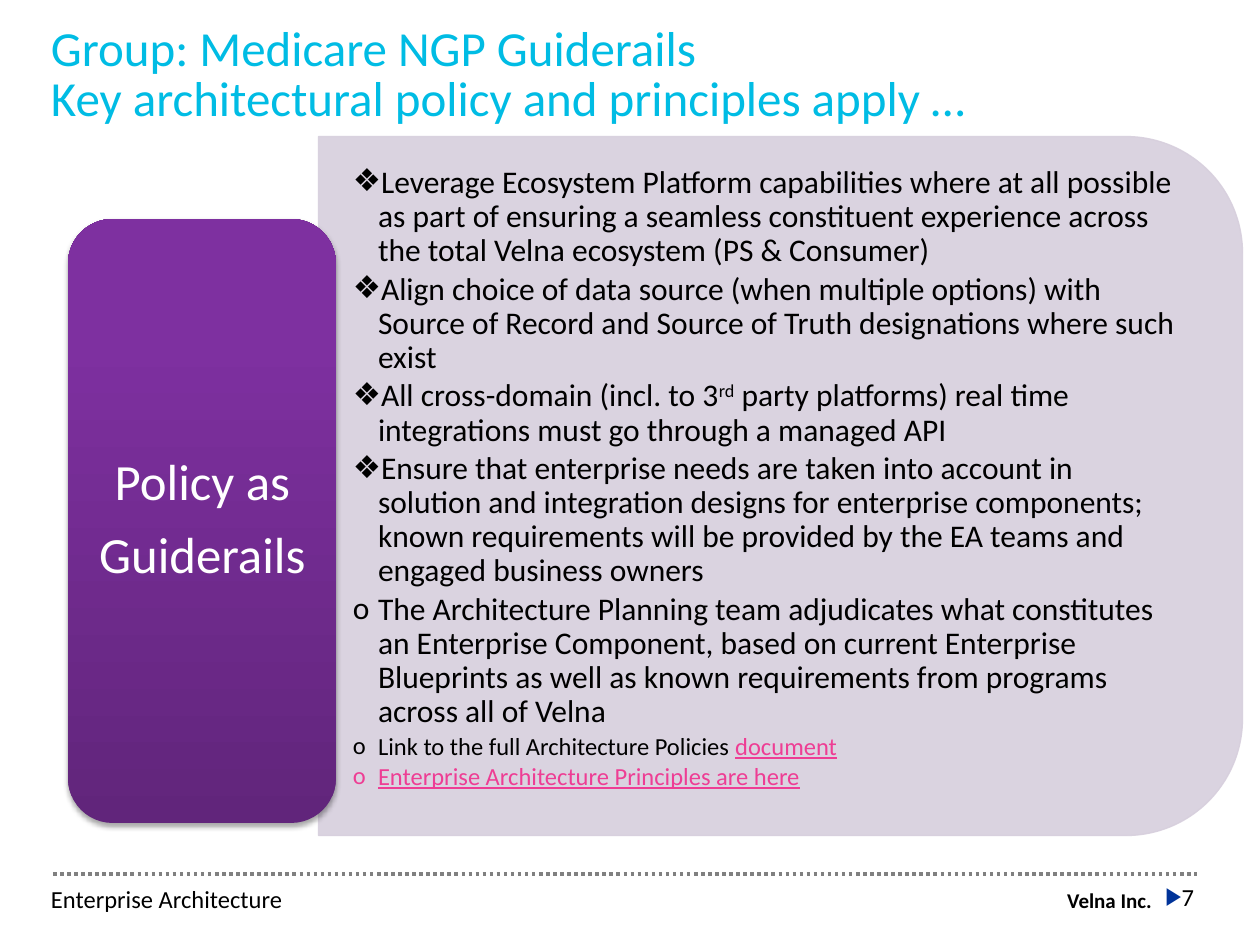
from lxml import etree
from pptx import Presentation
from pptx.dml.color import RGBColor
from pptx.enum.dml import MSO_LINE
from pptx.enum.shapes import MSO_CONNECTOR, MSO_SHAPE
from pptx.enum.text import MSO_ANCHOR, MSO_AUTO_SIZE, PP_ALIGN
from pptx.oxml import parse_xml
from pptx.oxml.ns import qn
from pptx.util import Emu, Pt

PX = 914400 // 126
FONT = "Calibri"
NS = 'xmlns:a="http://schemas.openxmlformats.org/drawingml/2006/main"'
LEFT, CENTER, RIGHT = PP_ALIGN.LEFT, PP_ALIGN.CENTER, PP_ALIGN.RIGHT
TOP, MIDDLE = MSO_ANCHOR.TOP, MSO_ANCHOR.MIDDLE
DOTS = MSO_LINE.ROUND_DOT

BLACK = RGBColor(0, 0, 0)
WHITE = RGBColor(255, 255, 255)
CYAN = RGBColor(0x00, 0xBC, 0xE4)
PINK = RGBColor(0xEE, 0x3D, 0x94)
LILAC = RGBColor(0xD7, 0xCF, 0xDD)
GRAY = RGBColor(0x80, 0x80, 0x80)
NAVY = RGBColor(0x00, 0x33, 0x99)
FADE = [(0, "61257B"), (80, "7E30A0"), (100, "802EA3")]

# Content: a paragraph is a list of (text, run format)
TITLE = [[("Group: Medicare NGP Guiderails", {}), ("\n", {}),
          ("Key architectural policy and principles apply …", {})]]
LABEL = [[("Policy as", {})], [("Guiderails", {})]]
LINK = {"size": 14, "color": PINK, "under": True}
POLICY = [
    [("Leverage Ecosystem Platform capabilities where at all possible as part "
      "of ensuring a seamless constituent experience across the total Velna "
      "ecosystem (PS & Consumer)", {})],
    [("Align choice of data source (when multiple options) with Source of "
      "Record and Source of Truth designations where such exist", {})],
    [("All cross-domain (incl. to 3", {}), ("rd", {"raised": True}),
     (" party platforms) real time integrations must go through a managed API", {})],
    [("Ensure that enterprise needs are taken into account in solution and "
      "integration designs for enterprise components; known requirements will "
      "be provided by the EA teams and engaged business owners", {})],
]
DETAIL = [
    [("The Architecture Planning team adjudicates what constitutes an "
      "Enterprise Component, based on current Enterprise Blueprints as well as "
      "known requirements from programs across all of Velna", {})],
    [("Link to the full Architecture Policies ", {"size": 14}), ("document", LINK)],
    [("Enterprise Architecture Principles are here", LINK)],
]
# Footer: text, box, size, bold, alignment, line spacing, bullet
FOOTER = [
    ("Velna Inc.", (966, 882, 199, 38), 12, True, RIGHT, 1, None),
    ("Enterprise Architecture", (38, 878, 886, 72), 14, False, LEFT, 1, None),
    ("7", (1134, 879, 73, 66), 14, False, RIGHT, 0.9, "▶"),
]


def place(shape, box):
    shape.left, shape.top, shape.width, shape.height = [Emu(v * PX) for v in box]


def setup(shape, pads=(13, 6, 13, 6), anchor=TOP):
    frame = shape.text_frame
    frame.word_wrap = True
    frame.auto_size = MSO_AUTO_SIZE.NONE
    frame.vertical_anchor = anchor
    (frame.margin_left, frame.margin_top,
     frame.margin_right, frame.margin_bottom) = [Emu(v * PX) for v in pads]
    return frame


def mark(para, sign, color=None, hang=0):
    props = para._p.get_or_add_pPr()
    props.set("marL", str(hang * PX))
    props.set("indent", str(-hang * PX))
    if color is not None:
        props.append(parse_xml(
            f'<a:buClr {NS}><a:srgbClr val="{color}"/></a:buClr>'))
    props.append(parse_xml(f'<a:buFont {NS} typeface="{FONT}"/>'))
    props.append(parse_xml(f'<a:buChar {NS} char="{sign}"/>'))


def write(frame, paras, size=18, color=BLACK, bold=False, align=LEFT,
          space=1, after=0, sign=None, tint=None, hang=0, level=0):
    for runs in paras:
        para = frame.paragraphs[0]
        if para.runs:
            para = frame.add_paragraph()
        para.level = level
        if sign:
            mark(para, sign, tint, hang)
        para.alignment = align
        para.line_spacing = space
        para.space_before = Pt(0)
        para.space_after = Pt(round(after * runs[0][1].get("size", size), 1))
        for text, own in runs:
            if text == "\n":
                para.add_line_break()
                continue
            run = para.add_run()
            run.text = text
            font = run.font
            font.name = FONT
            font.size = Pt(own.get("size", size))
            font.bold = bold
            font.color.rgb = own.get("color", color)
            if own.get("under"):
                font.underline = True
            if own.get("raised"):
                font._element.set("baseline", "30000")


deck = Presentation()
deck.slide_width, deck.slide_height = Emu(1260 * PX), Emu(945 * PX)
slide = deck.slides.add_slide(deck.slide_layouts[1])
shapes = slide.shapes
title, body = slide.placeholders[0], slide.placeholders[1]

# Footer
rule = shapes.add_connector(
    MSO_CONNECTOR.STRAIGHT, *[Emu(v * PX) for v in (53, 874, 1197, 874)])
rule.line.color.rgb = GRAY
rule.line.width = Pt(2)
rule.line.dash_style = DOTS
etree.SubElement(rule._element.spPr, qn("a:effectLst"))
for text, box, size, bold, align, space, sign in FOOTER:
    note = shapes.add_textbox(0, 0, 0, 0)
    place(note, box)
    write(setup(note), [[(text, {})]], size=size, bold=bold, align=align,
          space=space, sign=sign, tint=NAVY)

# Title
place(title, (38, 21, 1157, 158))
write(setup(title), TITLE, size=28, color=CYAN, space=0.85)

# Panel behind the list
panel = shapes.add_shape(MSO_SHAPE.ROUND_2_SAME_RECTANGLE, 0, 0, 0, 0)
place(panel, (431, 24, 699, 924))
panel.rotation = 90
panel.shadow.inherit = False
panel.fill.solid()
panel.fill.fore_color.rgb = LILAC
panel.line.color.rgb = LILAC
panel.line.width = Pt(0.75)
for tone in panel._element.spPr.iter(qn("a:srgbClr")):
    etree.SubElement(tone, qn("a:alpha"), val="90000")

# Policy list, raised above the panel
shapes._spTree.append(body._element)
place(body, (319, 171, 890, 630))
frame = setup(body, (34, 17, 34, 32), MIDDLE)
for paras, sign, level in ((POLICY, "❖", 1), (DETAIL, "o", 2)):
    write(frame, paras, space=0.9, after=0.15, sign=sign, hang=25, level=level)

# Purple card with its label
card = shapes.add_shape(MSO_SHAPE.ROUNDED_RECTANGLE, 0, 0, 0, 0)
place(card, (68, 219, 268, 604))
stops = "".join(f'<a:gs pos="{pos * 1000}"><a:srgbClr val="{tone}"/></a:gs>'
                for pos, tone in FADE)
card._element.spPr.insert(2, parse_xml(
    f'<a:gradFill {NS} rotWithShape="1"><a:gsLst>{stops}</a:gsLst>'
    '<a:lin ang="16200000" scaled="0"/></a:gradFill>'))
card.line.fill.background()
card.shadow.inherit = False
card._element.spPr.find(qn("a:effectLst")).append(parse_xml(
    f'<a:outerShdw {NS} blurRad="{Pt(3.1)}" dist="{Pt(1.8)}" dir="5400000" '
    'rotWithShape="0"><a:srgbClr val="000000"><a:alpha val="35000"/>'
    '</a:srgbClr></a:outerShdw>'))
label = shapes.add_textbox(0, 0, 0, 0)
place(label, (81, 232, 243, 577))
write(setup(label, (15, 8, 15, 8), MIDDLE), LABEL, size=29, color=WHITE,
      align=CENTER, space=0.9, after=0.35)

deck.save("out.pptx")
